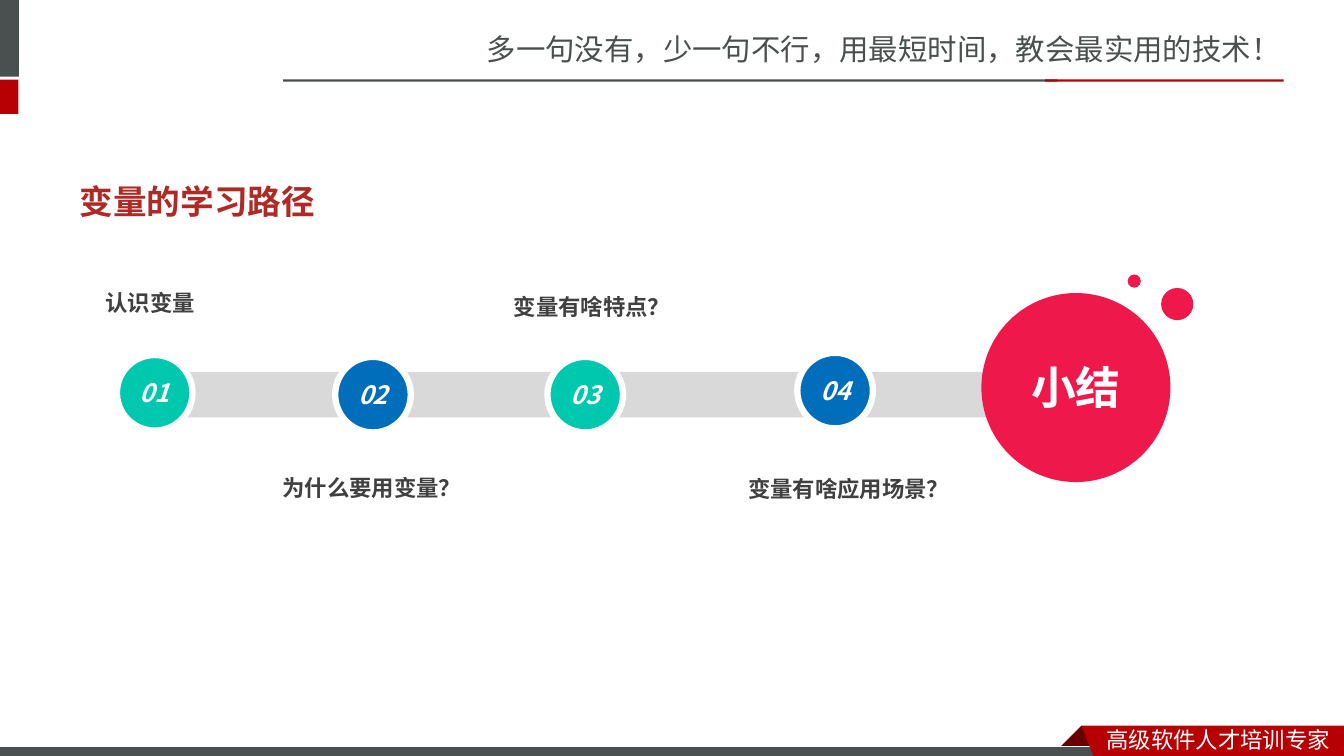
import pptx
import pptx.util
import pptx.dml.color
import pptx.enum.shapes
import pptx.enum.text
import pptx.oxml
import pptx.oxml.ns

Pt = pptx.util.Pt
SHAPE = pptx.enum.shapes.MSO_SHAPE
SANS_SC = "Noto Sans CJK SC"
SANS_JP = "Noto Sans CJK JP"
GREY, RED, DARK_RED, WHITE = "49504F", "B60004", "680000", "FFFFFF"
TEAL, BLUE, PINK = "00C8AF", "006EBB", "EF184B"


def paint(color_format, color):
    color_format.rgb = pptx.dml.color.RGBColor.from_string(color)


def style_shape(shape, fill, outline=None, outline_width=0):
    shape.shadow.inherit = False
    shape.fill.solid()
    paint(shape.fill.fore_color, fill)
    if outline:
        paint(shape.line.color, outline)
        shape.line.width = Pt(outline_width)
    else:
        shape.line.fill.background()


def add_block(slide, kind, box, fill, outline=None, outline_width=0):
    block = slide.shapes.add_shape(kind, *map(Pt, box))
    style_shape(block, fill, outline, outline_width)
    return block


def add_polygon(slide, points, fill):
    corners = [(Pt(x), Pt(y)) for x, y in points]
    builder = slide.shapes.build_freeform(*corners[0], scale=1.0)
    builder.add_line_segments(corners[1:], close=True)
    style_shape(builder.convert_to_shape(), fill)


def write(frame, text, size, color, font_name, bold=False, italic=False):
    frame.text = text
    paragraph = frame.paragraphs[0]
    font = paragraph.font
    font.size, font.bold, font.italic, font.name = Pt(size), bold, italic, font_name
    paint(font.color, color)
    east_asian = pptx.oxml.parse_xml(
        f'<a:ea {pptx.oxml.ns.nsdecls("a")} typeface="{font_name}"/>')
    paragraph._p.pPr.find(pptx.oxml.ns.qn("a:defRPr")).append(east_asian)
    return paragraph


def add_label(slide, box, text, size, color, font_name, bold=False):
    frame = slide.shapes.add_textbox(*map(Pt, box)).text_frame
    frame.word_wrap = True
    write(frame, text, size, color, font_name, bold)


def add_step(slide, number, left, top, fill):
    circle = add_block(slide, SHAPE.OVAL, (left, top, 54, 54), fill, WHITE, 4.5)
    frame = circle.text_frame
    frame.margin_left = frame.margin_right = 0
    frame.vertical_anchor = pptx.enum.text.MSO_ANCHOR.MIDDLE
    paragraph = write(frame, f"{number:02}", 18, WHITE, SANS_SC, True, True)
    paragraph.alignment = pptx.enum.text.PP_ALIGN.CENTER


def add_header(slide):
    add_label(slide, (340.6, 18.7, 590.4, 32.4),
              "多一句没有，少一句不行，用最短时间，教会最实用的技术！", 21, GREY, SANS_SC)
    for box, fill in [((-4.3, 0, 17.8, 54.7), GREY), ((-4.3, 56.9, 17.5, 24.5), RED),
                      ((202.3, 56.7, 553, 1.6), GREY), ((746.6, 56.7, 170.4, 1.6), RED)]:
        add_block(slide, SHAPE.RECTANGLE, box, fill)


def add_footer(slide):
    add_polygon(slide, [(772.5, 518.4), (788.4, 534.2), (787.7, 535),
                        (757.4, 535), (756.7, 534.2)], DARK_RED)
    add_block(slide, SHAPE.RECTANGLE, (-0.7, 533.5, 792, 8.6), GREY, WHITE, 0.75)
    add_polygon(slide, [(772.5, 518.4), (960, 518.4), (960, 542.9), (781.9, 542.2)], RED)
    add_label(slide, (783.4, 514.8, 176.6, 26.6), "高级软件人才培训专家", 16, WHITE, SANS_SC)


def add_title(slide, text):
    title = slide.shapes.title
    title.left, title.top, title.width, title.height = map(Pt, (49.7, 123.1, 189.4, 41))
    title.text_frame.vertical_anchor = pptx.enum.text.MSO_ANCHOR.MIDDLE
    paragraph = write(title.text_frame, text, 24, "AD2A26", SANS_JP, True)
    paragraph.alignment = pptx.enum.text.PP_ALIGN.LEFT


def add_learning_path(slide):
    add_block(slide, SHAPE.RECTANGLE, (93.6, 265.7, 619.2, 32.4), "D9D9D9")
    for left, top, diameter in [(701, 209.3, 135), (829.4, 205.7, 23), (805.5, 196.1, 9.4)]:
        add_block(slide, SHAPE.OVAL, (left, top, diameter, diameter), PINK)
    steps = [(83.5, 253.6, "认识变量", 68.4, 203),
             (239.4, 254.9, "为什么要用变量？", 194.8, 334.8),
             (391, 254.9, "变量有啥特点？", 360, 205.9),
             (569.5, 252, "变量有啥应用场景？", 527.4, 336.2)]
    for number, (left, top, topic, topic_left, topic_top) in enumerate(steps, 1):
        add_step(slide, number, left, top, TEAL if number % 2 else BLUE)
        add_label(slide, (topic_left, topic_top, 165, 26.6), topic, 16, "404040", SANS_JP, True)
    add_label(slide, (729.4, 253.4, 82, 46), "小结", 32, WHITE, SANS_JP, True)


def main():
    """Build the slide on the learning path for variables."""
    deck = pptx.Presentation()
    deck.slide_width, deck.slide_height = Pt(960), Pt(540)
    slide = deck.slides.add_slide(deck.slide_layouts[5])
    add_header(slide)
    add_footer(slide)
    add_title(slide, "变量的学习路径")
    add_learning_path(slide)
    deck.save("out.pptx")


if __name__ == "__main__":
    main()
